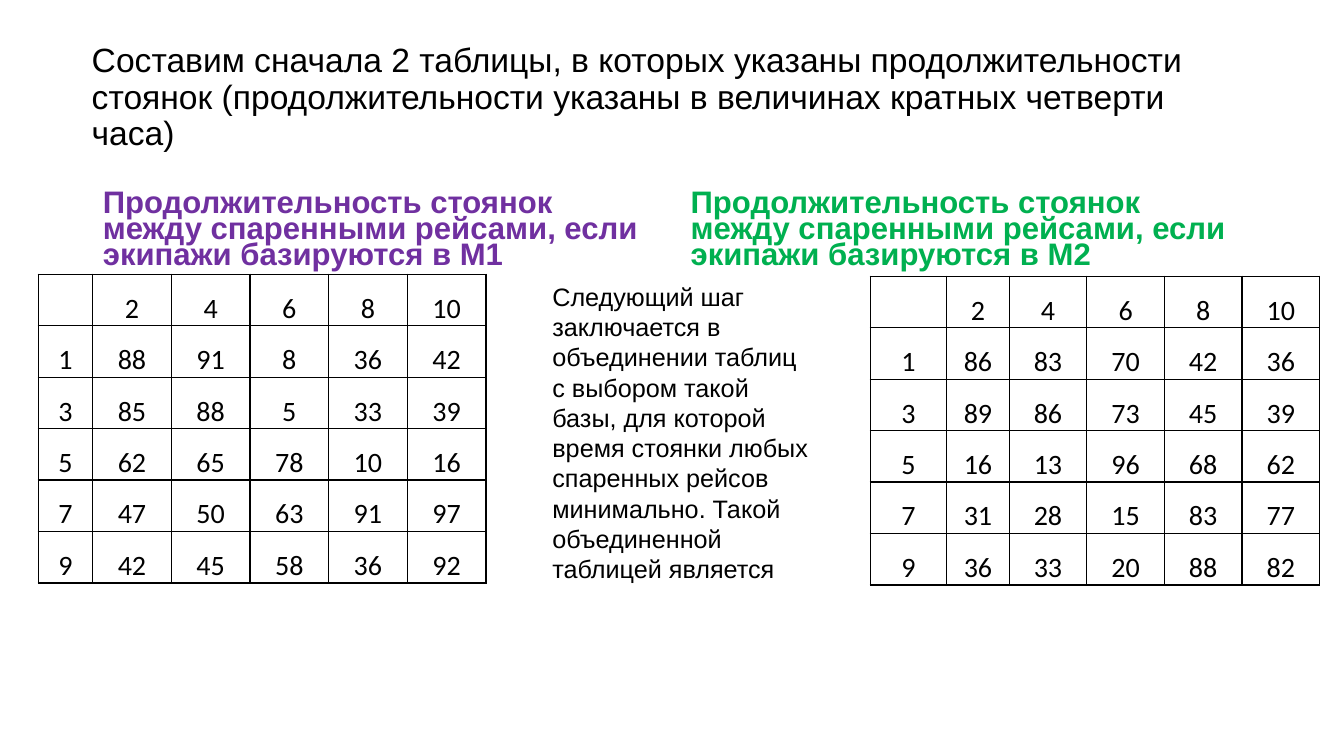
from lxml import etree
from pptx import Presentation
from pptx.dml.color import RGBColor
from pptx.enum.text import MSO_ANCHOR, MSO_AUTO_SIZE, PP_ALIGN
from pptx.oxml.ns import qn
from pptx.util import Emu, Pt

TOP, MIDDLE, BOTTOM = MSO_ANCHOR.TOP, MSO_ANCHOR.MIDDLE, MSO_ANCHOR.BOTTOM
LEFT, CENTER = PP_ALIGN.LEFT, PP_ALIGN.CENTER
NO_FIT, GROW = MSO_AUTO_SIZE.NONE, MSO_AUTO_SIZE.SHAPE_TO_FIT_TEXT

COMPARISON_LAYOUT = 4
BLACK, PURPLE, GREEN = "000000", "7030A0", "00B050"
ROW_HEIGHT = 45

ODD_FLIGHTS = [1, 3, 5, 7, 9]
EVEN_FLIGHTS = [2, 4, 6, 8, 10]
STOPS_M1 = [
    [88, 91, 8, 36, 42],
    [85, 88, 5, 33, 39],
    [62, 65, 78, 10, 16],
    [47, 50, 63, 91, 97],
    [42, 45, 58, 36, 92],
]
STOPS_M2 = [
    [86, 83, 70, 42, 36],
    [89, 86, 73, 45, 39],
    [16, 13, 96, 68, 62],
    [31, 28, 15, 83, 77],
    [36, 33, 20, 88, 82],
]


def px(length):
    """Turn px, 100 to the inch, into EMU."""
    return Emu(length * 9144)


def color(hex_string):
    return RGBColor.from_string(hex_string)


class StopsSlide:
    text_font = "Arial"
    table_font = "Calibri"

    def __init__(self, presentation):
        layout = presentation.slide_layouts[COMPARISON_LAYOUT]
        self.slide = presentation.slides.add_slide(layout)

    def add_text(self, paragraph, text, size, ink=BLACK, bold=False,
                 font=text_font, align=LEFT, spacing=1.0):
        paragraph.alignment = align
        paragraph.line_spacing = spacing
        paragraph.space_before = Pt(0)
        run = paragraph.add_run()
        run.text = text
        run.font.name = font
        run.font.size = Pt(size)
        run.font.bold = bold
        run.font.color.rgb = color(ink)

    def placeholder(self, index, box, anchor, text, size, **style):
        holder = self.slide.placeholders[index]
        holder.left, holder.top, holder.width, holder.height = map(px, box)
        frame = holder.text_frame
        frame.auto_size = NO_FIT
        frame.vertical_anchor = anchor
        self.add_text(frame.paragraphs[0], text, size, **style)

    def note(self, box, text, size):
        frame = self.slide.shapes.add_textbox(*map(px, box)).text_frame
        frame.word_wrap = True
        frame.auto_size = GROW
        self.add_text(frame.paragraphs[0], text, size)

    def stops_table(self, left, top, widths, stops):
        """Odd flights label the rows, even flights label the columns."""
        rows = [[""] + EVEN_FLIGHTS]
        rows += [[odd] + times for odd, times in zip(ODD_FLIGHTS, stops)]
        table = self.slide.shapes.add_table(
            len(rows), len(widths), px(left), px(top),
            px(sum(widths)), px(ROW_HEIGHT * len(rows))).table
        table.first_row = table.horz_banding = False
        for column, width in zip(table.columns, widths):
            column.width = px(width)
        for r, values in enumerate(rows):
            table.rows[r].height = px(ROW_HEIGHT)
            for c, value in enumerate(values):
                self.fill_cell(table.cell(r, c), str(value),
                               MIDDLE if r else TOP)

    def fill_cell(self, cell, text, anchor):
        cell.margin_left = cell.margin_right = px(7)
        cell.margin_top = cell.margin_bottom = 0
        cell.vertical_anchor = anchor
        self.outline(cell)
        cell.fill.background()
        if text:
            self.add_text(cell.text_frame.paragraphs[0], text, 20,
                          font=self.table_font, align=CENTER, spacing=1.5)

    def outline(self, cell):
        properties = cell._tc.get_or_add_tcPr()
        for side in ("a:lnL", "a:lnR", "a:lnT", "a:lnB"):
            line = etree.SubElement(properties, qn(side), w=str(Pt(1)))
            fill = etree.SubElement(line, qn("a:solidFill"))
            etree.SubElement(fill, qn("a:srgbClr"), val=BLACK)

    def remove_empty_placeholders(self):
        for holder in list(self.slide.placeholders):
            if not holder.text_frame.text:
                holder.element.getparent().remove(holder.element)


def main():
    presentation = Presentation()
    presentation.slide_width, presentation.slide_height = px(1333), px(750)
    page = StopsSlide(presentation)

    page.placeholder(
        0, (81, 25, 1150, 145), MIDDLE,
        "Составим сначала 2 таблицы, в которых указаны продолжительности "
        "стоянок (продолжительности указаны в величинах кратных четверти часа)",
        24, spacing=0.9)
    for index, left, width, base, ink in ((1, 92, 564, "М1", PURPLE),
                                          (3, 675, 567, "М2", GREEN)):
        page.placeholder(
            index, (left, 184, width, 90), BOTTOM,
            "Продолжительность стоянок между спаренными рейсами, "
            f"если экипажи базируются в {base}",
            22.2, ink=ink, bold=True, spacing=0.7)
    page.remove_empty_placeholders()

    page.stops_table(38, 272, [54] + [78] * 5, STOPS_M1)
    page.stops_table(863, 274, [76, 62] + [77] * 4, STOPS_M2)
    page.note(
        (538, 274, 279, 343),
        "Следующий шаг заключается в объединении таблиц с выбором такой базы, "
        "для которой время стоянки любых спаренных рейсов минимально. "
        "Такой объединенной таблицей является", 18)

    presentation.save("out.pptx")


if __name__ == "__main__":
    main()
